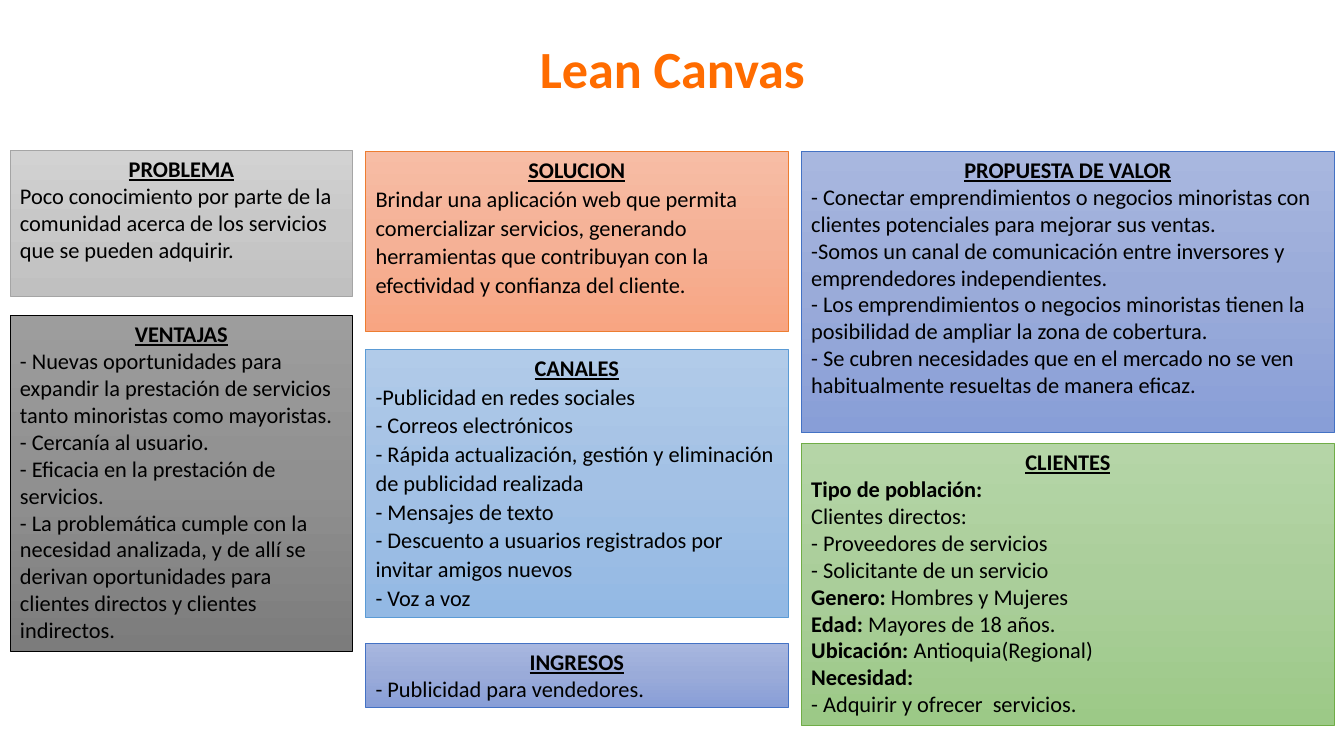
import copy
from dataclasses import dataclass

import pptx
import pptx.dml.color
import pptx.enum.dml
import pptx.enum.shapes
import pptx.enum.text
import pptx.slide
import pptx.text.text
import pptx.util

Pt = pptx.util.Pt
RGB = pptx.dml.color.RGBColor.from_string
ALIGN = pptx.enum.text.PP_ALIGN


@dataclass(frozen=True)
class Tone:
    stops: tuple[str, str, str]
    edge: str


@dataclass(frozen=True)
class Theme:
    font: str = "Calibri"
    title: str = "FF6C00"
    ink: str = "000000"
    large: float = 37.3
    small: float = 16
    edge: float = 0.5
    silver: Tone = Tone(("D2D2D2", "C8C8C8", "C0C0C0"), "A5A5A5")
    gray: Tone = Tone(("9D9D9D", "909090", "7C7C7C"), "000000")
    orange: Tone = Tone(("F7BDA5", "F5B196", "F8A582"), "ED7D31")
    sky: Tone = Tone(("B1CBE9", "A3C1E5", "93B9E4"), "5B9BD5")
    blue: Tone = Tone(("A8B7DF", "9AABD9", "889ED7"), "4472C4")
    green: Tone = Tone(("B5D5A7", "AACE9A", "9CC987"), "70AD47")


@dataclass(frozen=True)
class Line:
    text: str = ""
    lead: str = ""


@dataclass(frozen=True)
class Box:
    head: str
    top: float
    height: float
    tone: Tone
    lines: tuple[Line, ...]
    pitch: float = 1.0


@dataclass(frozen=True)
class Column:
    left: float
    width: float
    boxes: tuple[Box, ...]


THEME = Theme()

COLUMNS = (
    Column(7.2, 244.8, (
        Box("PROBLEMA", 107.4, 104.4, THEME.silver, (
            Line("Poco conocimiento por parte de la comunidad acerca de los "
                 "servicios que se pueden adquirir."),
        )),
        Box("VENTAJAS", 225.5, 239.8, THEME.gray, (
            Line("- Nuevas oportunidades para expandir la prestación de "
                 "servicios tanto minoristas como mayoristas."),
            Line("- Cercanía al usuario."),
            Line("- Eficacia en la prestación de servicios."),
            Line("- La problemática cumple con la necesidad analizada, y de "
                 "allí se derivan oportunidades para clientes directos y "
                 "clientes indirectos."),
        )),
    )),
    Column(261.2, 301.6, (
        Box("SOLUCION", 108, 129, THEME.orange, (
            Line("Brindar una aplicación web que permita comercializar "
                 "servicios, generando herramientas que contribuyan con la "
                 "efectividad y confianza del cliente."),
        ), 1.07),
        Box("CANALES", 249.4, 191.5, THEME.sky, (
            Line("-Publicidad en redes sociales"),
            Line("- Correos electrónicos"),
            Line("- Rápida actualización, gestión y eliminación de publicidad "
                 "realizada"),
            Line("- Mensajes de texto"),
            Line("- Descuento a usuarios registrados por invitar amigos "
                 "nuevos"),
            Line("- Voz a voz"),
        ), 1.07),
        Box("INGRESOS", 459.4, 46, THEME.blue, (
            Line("- Publicidad para vendedores."),
        )),
    )),
    Column(572.4, 380.8, (
        Box("PROPUESTA DE VALOR", 108, 201, THEME.blue, (
            Line("- Conectar emprendimientos o negocios minoristas con "
                 "clientes potenciales para mejorar sus ventas."),
            Line("-Somos un canal de comunicación entre inversores y "
                 "emprendedores independientes."),
            Line("- Los emprendimientos o negocios minoristas tienen la "
                 "posibilidad de ampliar la zona de cobertura."),
            Line("- Se cubren necesidades que en el mercado no se ven "
                 "habitualmente resueltas de manera eficaz."),
        )),
        Box("CLIENTES", 316.8, 201, THEME.green, (
            Line(lead="Tipo de población:"),
            Line("Clientes directos:"),
            Line("- Proveedores de servicios"),
            Line("- Solicitante de un servicio"),
            Line("Hombres y Mujeres", "Genero: "),
            Line("Mayores de 18 años.", "Edad: "),
            Line("Antioquia(Regional)", "Ubicación: "),
            Line(lead="Necesidad:"),
            Line("- Adquirir y ofrecer  servicios."),
        )),
    )),
)


def style(para: pptx.text.text._Paragraph, size: float, color: str,
          align: ALIGN) -> None:
    para.alignment = align
    para.font.name = THEME.font
    para.font.size = Pt(size)
    para.font.color.rgb = RGB(color)


def shade(shape: pptx.shapes.autoshape.Shape, tone: Tone) -> None:
    shape.fill.gradient()
    shape.fill.gradient_angle = 270
    stops = shape._element.xpath(".//a:gsLst")[0]
    stops.insert(1, copy.deepcopy(stops[0]))
    for i, stop in enumerate(shape.fill.gradient_stops):
        stop.position = i / 2
        stop.color.rgb = RGB(tone.stops[i])
    shape.line.color.rgb = RGB(tone.edge)
    shape.line.width = Pt(THEME.edge)


def write(frame: pptx.text.text.TextFrame, line: Line, pitch: float) -> None:
    para = frame.add_paragraph()
    style(para, THEME.small, THEME.ink, ALIGN.LEFT)
    para.line_spacing = pitch
    if line.lead and line.text:
        for text, bold in ((line.lead, True), (line.text, False)):
            run = para.add_run()
            run.text = text
            run.font.bold = bold
    else:
        para.text = line.lead or line.text
        para.font.bold = bool(line.lead)


def draw(slide: pptx.slide.Slide, col: Column, box: Box) -> None:
    shape = slide.shapes.add_shape(
        pptx.enum.shapes.MSO_SHAPE.RECTANGLE,
        Pt(col.left), Pt(box.top), Pt(col.width), Pt(box.height))
    shape.shadow.inherit = False
    shade(shape, box.tone)
    frame = shape.text_frame
    frame.word_wrap = True
    frame.vertical_anchor = pptx.enum.text.MSO_ANCHOR.TOP
    head = frame.paragraphs[0]
    head.text = box.head
    style(head, THEME.small, THEME.ink, ALIGN.CENTER)
    head.font.bold = True
    head.font.underline = True
    for line in box.lines:
        write(frame, line, box.pitch)


def label(slide: pptx.slide.Slide) -> None:
    frame = slide.shapes.add_textbox(
        Pt(236.2), Pt(22.3), Pt(488.2), Pt(52.6)).text_frame
    frame.word_wrap = True
    para = frame.paragraphs[0]
    para.text = "Lean Canvas"
    style(para, THEME.large, THEME.title, ALIGN.CENTER)
    para.font.bold = True


def main() -> None:
    deck = pptx.Presentation()
    deck.slide_width, deck.slide_height = Pt(960), Pt(540)
    slide = deck.slides.add_slide(deck.slide_layouts[6])
    label(slide)
    for col in COLUMNS:
        for box in col.boxes:
            draw(slide, col, box)
    deck.save("out.pptx")


if __name__ == "__main__":
    main()
